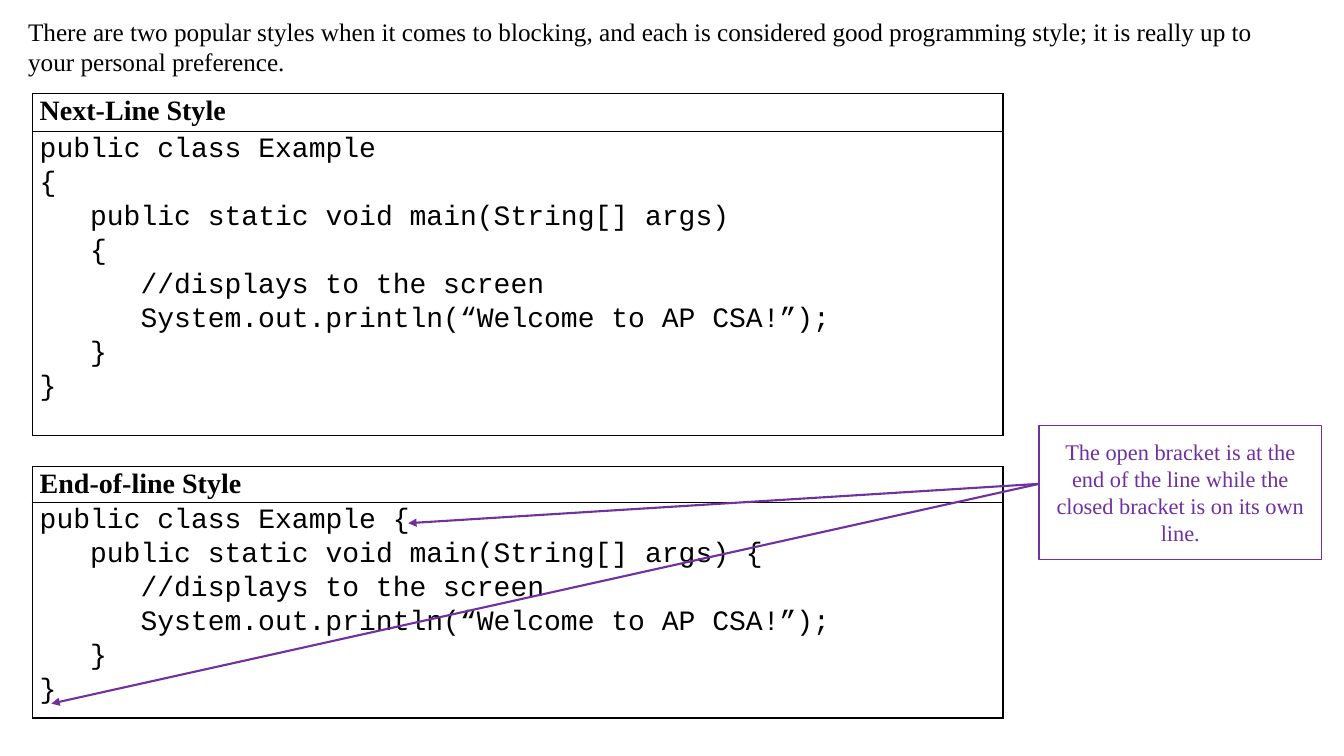
from dataclasses import dataclass
from lxml.etree import SubElement
from pptx import Presentation
from pptx.dml.color import RGBColor
from pptx.enum.shapes import MSO_CONNECTOR as Connector, MSO_SHAPE as Shape
from pptx.enum.text import MSO_ANCHOR as Anchor, PP_ALIGN as Align
from pptx.oxml.ns import qn
from pptx.util import Pt


@dataclass(frozen=True)
class Theme:
    ink: RGBColor = RGBColor(0, 0, 0)
    accent: RGBColor = RGBColor(0x70, 0x30, 0xA0)
    prose: str = "Times New Roman"
    code: str = "Courier New"
    intro_size: int = 18
    listing_size: int = 20
    note_size: int = 16
    line_spacing: float = 1.07
    indent: int = 36


THEME = Theme()

INTRO = ("There are two popular styles when it comes to blocking, and each is considered "
         "good programming style; it is really up to your personal preference.")
NOTE = ("The open bracket is at the end of the line while the closed bracket "
        "is on its own line.")

NEXT_LINE = [
    (0, "public class Example"),
    (0, "{"),
    (1, "public static void main(String[] args)"),
    (1, "{"),
    (2, "//displays to the screen"),
    (2, "System.out.println(“Welcome to AP CSA!”);"),
    (1, "}"),
    (0, "}"),
]
END_OF_LINE = [
    (0, "public class Example {"),
    (1, "public static void main(String[] args) {"),
    (2, "//displays to the screen"),
    (2, "System.out.println(“Welcome to AP CSA!”);"),
    (1, "}"),
    (0, "}"),
]


def style_font(paragraph, name, size, color, bold=False):
    font = paragraph.font
    font.name, font.size, font.bold = name, Pt(size), bold
    font.color.rgb = color


def add_intro(slide, left, top, width, height):
    intro = slide.shapes.add_textbox(Pt(left), Pt(top), Pt(width), Pt(height))
    intro.text_frame.word_wrap = True
    sentence = intro.text_frame.paragraphs[0]
    sentence.text = INTRO
    style_font(sentence, THEME.prose, THEME.intro_size, THEME.ink)


def frame_cell(cell):
    cell.margin_left = cell.margin_right = Pt(5.4)
    cell.margin_top = cell.margin_bottom = 0
    properties = cell._tc.get_or_add_tcPr()
    for side in ("lnL", "lnR", "lnT", "lnB"):
        border = SubElement(properties, qn(f"a:{side}"), w=str(Pt(1)))
        fill = SubElement(border, qn("a:solidFill"))
        SubElement(fill, qn("a:srgbClr"), val=str(THEME.ink))
    cell.fill.background()


def add_listing(slide, left, top, width, row_heights, title, code_lines):
    table = slide.shapes.add_table(2, 1, Pt(left), Pt(top), Pt(width),
                                   Pt(sum(row_heights))).table
    table.first_row = table.horz_banding = False
    for row, height in zip(table.rows, row_heights):
        row.height = Pt(height)
    heading, body = table.cell(0, 0), table.cell(1, 0)
    frame_cell(heading)
    frame_cell(body)

    style_name = heading.text_frame.paragraphs[0]
    style_name.text = title
    style_name.line_spacing = THEME.line_spacing
    style_font(style_name, THEME.prose, THEME.listing_size, THEME.ink, bold=True)

    body.text_frame.text = "\n".join(code for _, code in code_lines)
    for statement, (depth, _) in zip(body.text_frame.paragraphs, code_lines):
        properties = statement._p.get_or_add_pPr()
        properties.set("marL", str(Pt(depth * THEME.indent)))
        properties.set("indent", "0")
        statement.line_spacing = THEME.line_spacing
        style_font(statement, THEME.code, THEME.listing_size, THEME.ink)


def add_pointer(slide, start, end):
    pointer = slide.shapes.add_connector(Connector.STRAIGHT, *map(Pt, start + end))
    pointer.line.color.rgb = THEME.accent
    pointer.line.width = Pt(1.5)
    SubElement(pointer.line._get_or_add_ln(), qn("a:tailEnd"), type="triangle")
    SubElement(pointer._element.spPr, qn("a:effectLst"))


def add_bracket_note(slide, left, top, width, height, brackets):
    for bracket in brackets:
        add_pointer(slide, (left, top + 41.8), bracket)
    note = slide.shapes.add_shape(Shape.RECTANGLE, Pt(left), Pt(top), Pt(width), Pt(height))
    note.shadow.inherit = False
    note.fill.background()
    note.line.color.rgb = THEME.accent
    note.line.width = Pt(1)
    note.text_frame.word_wrap = True
    note.text_frame.vertical_anchor = Anchor.MIDDLE
    remark = note.text_frame.paragraphs[0]
    remark.text = NOTE
    remark.alignment = Align.CENTER
    style_font(remark, THEME.prose, THEME.note_size, THEME.accent)


def main():
    deck = Presentation()
    deck.slide_width, deck.slide_height = Pt(960), Pt(540)
    slide = deck.slides.add_slide(deck.slide_layouts[6])
    add_listing(slide, 23, 67, 693.4, (27.2, 216.9), "Next-Line Style", NEXT_LINE)
    add_listing(slide, 23, 333.4, 693.4, (25.7, 153.8), "End-of-line Style", END_OF_LINE)
    add_intro(slide, 13, 7.9, 919.4, 51.1)
    add_bracket_note(slide, 742.3, 303.8, 201.6, 95.8, [(291.6, 373.7), (36.7, 502.6)])
    deck.save("out.pptx")


if __name__ == "__main__":
    main()
